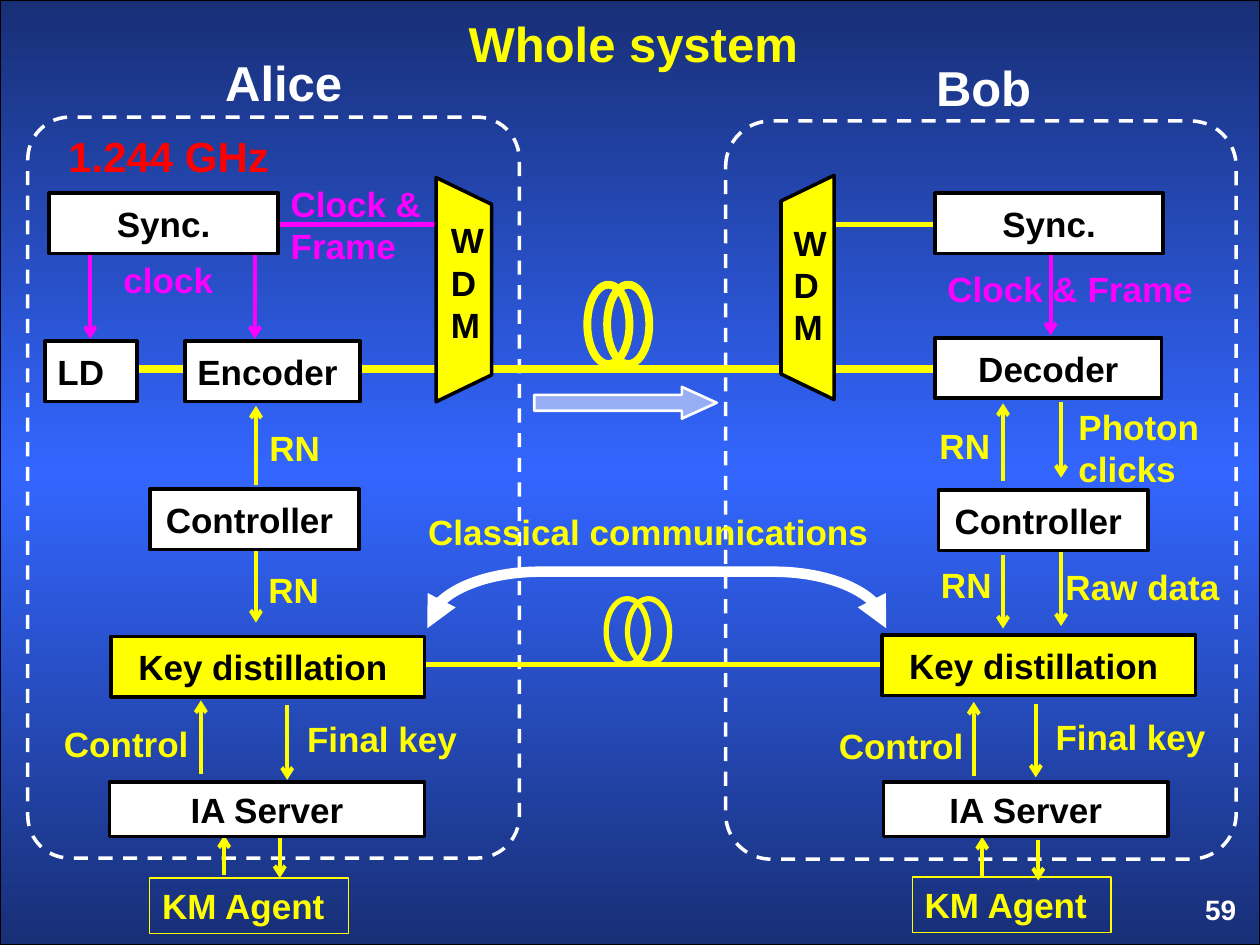
from copy import deepcopy

from lxml.etree import SubElement
from pptx import Presentation
from pptx.dml.color import RGBColor
from pptx.enum.dml import MSO_LINE
from pptx.enum.shapes import MSO_CONNECTOR, MSO_SHAPE
from pptx.enum.text import MSO_ANCHOR, MSO_AUTO_SIZE, PP_ALIGN
from pptx.oxml.ns import qn
from pptx.util import Cm, Pt

WHITE = RGBColor(0xFF, 0xFF, 0xFF)
BLACK = RGBColor(0, 0, 0)
YELLOW = RGBColor(0xFF, 0xFF, 0)
PINK = RGBColor(0xFF, 0, 0xFF)
RED = RGBColor(0xFF, 0, 0)
NAVY = RGBColor(0x18, 0x2F, 0x76)
BLUE = RGBColor(0x33, 0x66, 0xFF)
LEFT, MID, RIGHT = PP_ALIGN.LEFT, PP_ALIGN.CENTER, PP_ALIGN.RIGHT

deck = Presentation()
deck.slide_width, deck.slide_height = Cm(25.4), Cm(19.05)
slide = deck.slides.add_slide(deck.slide_layouts[5])
shapes = slide.shapes


def draw(kind, area, fill=None, edge=BLACK, width=2):
    shape = shapes.add_shape(kind, *map(Cm, area))
    shape.shadow.inherit = False
    if fill is None:
        shape.fill.background()
    else:
        shape.fill.solid()
        shape.fill.fore_color.rgb = fill
    shape.line.color.rgb = edge
    shape.line.width = Pt(width)
    return shape


def write(shape, text, color, size=20, align=LEFT, anchor=MSO_ANCHOR.TOP):
    frame = shape.text_frame
    frame.text = text
    frame.word_wrap = align != LEFT
    frame.auto_size = MSO_AUTO_SIZE.NONE
    frame.vertical_anchor = anchor
    for line in frame.paragraphs:
        line.alignment = align
        line.font.name = "Arial"
        line.font.size = Pt(size)
        line.font.bold = True
        line.font.color.rgb = color


# Backdrop, placed behind the title
back = draw(MSO_SHAPE.RECTANGLE, (0, 0, 25.4, 19.05), width=0.75)
back.fill.gradient()
back.fill.gradient_angle = 90
stops = back._element.spPr.find(qn("a:gradFill")).find(qn("a:gsLst"))
stops.append(deepcopy(stops[0]))
for stop, place, color in zip(back.fill.gradient_stops, (0, 0.5, 1), (NAVY, BLUE, NAVY)):
    stop.position = place
    stop.color.rgb = color
shapes._spTree.insert(2, back._element)

title = shapes.title
title.left, title.top, title.width, title.height = map(Cm, (9.12, 0.15, 7.29, 1.45))
write(title, "Whole system ", YELLOW, 28, MID)

# Dashed frames of the two sites
for area, round_by in (((0.56, 2.36, 9.91, 14.94), 0.086),
                       ((14.63, 2.44, 10.29, 14.88), 0.089)):
    site = draw(MSO_SHAPE.ROUNDED_RECTANGLE, area, edge=WHITE)
    site.adjustments[0] = round_by
    site.line.dash_style = MSO_LINE.DASH

# Fibres run across; arrows run up or down as x, start, end
fibres = [
    (16.43, 4.52, 19.3, 4.52, YELLOW, 3),
    (5.59, 4.52, 9.22, 4.52, PINK, 3),
    (2.36, 13.39, 23.52, 13.39, YELLOW, 3),
    (1.17, 7.44, 22.33, 7.44, YELLOW, 4.5),
]
flows = {
    YELLOW: [
        (5.16, 9.78, 8.18), (5.16, 11.07, 12.55), (4.05, 15.6, 14.12),
        (5.79, 14.22, 15.72), (4.52, 17.63, 16.84), (5.64, 16.89, 17.7),
        (20.22, 9.7, 8.13), (21.39, 8.1, 9.63), (20.22, 11.18, 12.67),
        (21.39, 11.1, 12.62), (19.63, 15.65, 14.15), (20.88, 14.2, 15.67),
        (19.8, 17.68, 16.87), (20.93, 16.94, 17.75),
    ],
    PINK: [(1.82, 5, 6.83), (5.14, 5, 6.83), (21.18, 4.93, 6.76)],
}
arrows = [(x, start, x, end, color, 2.25)
          for color, group in flows.items() for x, start, end in group]
for x1, y1, x2, y2, color, width in fibres + arrows:
    link = shapes.add_connector(MSO_CONNECTOR.STRAIGHT, *map(Cm, (x1, y1, x2, y2)))
    link.line.color.rgb = color
    link.line.width = Pt(width)
    if x1 == x2:
        SubElement(link.line._get_or_add_ln(), qn("a:tailEnd"), type="arrow")
    SubElement(link._element.spPr, qn("a:effectLst"))

# Fibre coils
for x, y, high, width in ((11.84, 5.74, 1.6, 4.5), (12.24, 5.74, 1.6, 4.5),
                          (12.22, 12.07, 1.32, 3), (12.65, 12.07, 1.32, 3)):
    draw(MSO_SHAPE.OVAL, (x, y, 0.85, high), edge=YELLOW, width=width)

# Direction of light
light = draw(MSO_SHAPE.RIGHT_ARROW, (10.77, 7.8, 3.68, 0.64), WHITE, WHITE, 1.5)
light.adjustments[0], light.adjustments[1] = 0.5, 1.099
tint = light._element.spPr.find(qn("a:solidFill"))[0]
SubElement(tint, qn("a:alpha"), val="50000")

# Classical link, headed at both ends
arc = draw(MSO_SHAPE.RIGHT_BRACKET, (12.67, 7.47, 1.14, 9.25), edge=WHITE, width=6)
arc.rotation = 270
arc.adjustments[0] = 1.984
for end in ("a:headEnd", "a:tailEnd"):
    SubElement(arc.line._get_or_add_ln(), qn(end), type="triangle")

for area, turn in (((7.09, 5.28, 4.52, 1.12), 90), ((14.02, 5.26, 4.52, 1.07), 270)):
    mux = draw(MSO_SHAPE.TRAPEZOID, area, YELLOW)
    mux.rotation = turn
    mux.adjustments[0] = 0.483

boxes = [
    ("Sync.", 0.99, 3.89, 4.62, 1.22, WHITE, MID),
    ("Sync.", 18.85, 3.89, 4.6, 1.22, WHITE, MID),
    ("LD", 0.91, 6.88, 1.85, 1.22, WHITE, LEFT),
    ("Encoder", 3.73, 6.88, 3.53, 1.22, WHITE, LEFT),
    ("Decoder", 18.85, 6.81, 4.57, 1.22, WHITE, MID),
    ("Controller ", 3.02, 9.86, 4.22, 1.22, WHITE, MID),
    ("Controller ", 18.92, 9.88, 4.22, 1.22, WHITE, MID),
    ("Key distillation ", 2.24, 12.83, 6.32, 1.22, YELLOW, MID),
    ("Key distillation ", 17.78, 12.8, 6.32, 1.22, YELLOW, MID),
    ("IA Server", 2.21, 15.77, 6.35, 1.09, WHITE, MID),
    ("IA Server", 17.81, 15.77, 5.74, 1.09, WHITE, MID),
]
for text, x, y, wide, high, fill, align in boxes:
    box = draw(MSO_SHAPE.RECTANGLE, (x, y, wide, high), fill)
    write(box, text, BLACK, align=align, anchor=MSO_ANCHOR.MIDDLE)

for x, y in ((3.02, 17.7), (18.39, 17.68)):
    agent = draw(MSO_SHAPE.RECTANGLE, (x, y, 4.01, 1.12), edge=YELLOW, width=0.75)
    write(agent, "KM Agent", YELLOW)

labels = [
    ("Alice", 4.29, 0.94, 2.9, 1.45, WHITE, 28, LEFT),
    ("Bob", 18.62, 1.04, 2.46, 1.45, WHITE, 28, LEFT),
    ("1.244 GHz", 0.86, 2.51, 5.08, 1.27, RED, 24, MID),
    ("Clock &\nFrame", 5.61, 3.56, 3.3, 1.96, PINK, 20, LEFT),
    ("clock", 2.24, 5.08, 2.34, 1.12, PINK, 20, LEFT),
    ("Clock & Frame", 18.85, 5.26, 5.59, 1.12, PINK, 20, LEFT),
    ("W\nD\nM", 8.84, 4.29, 1.19, 2.82, BLACK, 20, LEFT),
    ("W\nD\nM", 15.75, 4.34, 1.19, 2.82, BLACK, 20, LEFT),
    ("RN", 5.18, 8.48, 1.75, 1.12, YELLOW, 20, LEFT),
    ("RN", 5.16, 11.33, 1.75, 1.12, YELLOW, 20, LEFT),
    ("RN", 18.69, 8.43, 1.75, 1.12, YELLOW, 20, LEFT),
    ("RN", 18.72, 11.23, 1.75, 1.12, YELLOW, 20, LEFT),
    ("Photon\nclicks", 21.49, 8.05, 3.18, 1.96, YELLOW, 20, LEFT),
    ("Raw data", 21.23, 11.28, 3.84, 1.12, YELLOW, 20, LEFT),
    ("Classical communications", 8.38, 10.16, 9.45, 1.12, YELLOW, 20, LEFT),
    ("Control", 1.04, 14.45, 3.25, 1.12, YELLOW, 20, LEFT),
    ("Control", 16.66, 14.48, 3.25, 1.12, YELLOW, 20, LEFT),
    ("Final key", 5.94, 14.33, 3.56, 1.12, YELLOW, 20, LEFT),
    ("Final key", 21.03, 14.3, 3.56, 1.12, YELLOW, 20, LEFT),
    ("59", 23.19, 17.86, 1.98, 1.32, WHITE, 16, RIGHT),
]
for text, x, y, wide, high, color, size, align in labels:
    label = shapes.add_textbox(*map(Cm, (x, y, wide, high)))
    write(label, text, color, size, align)

deck.save("out.pptx")
